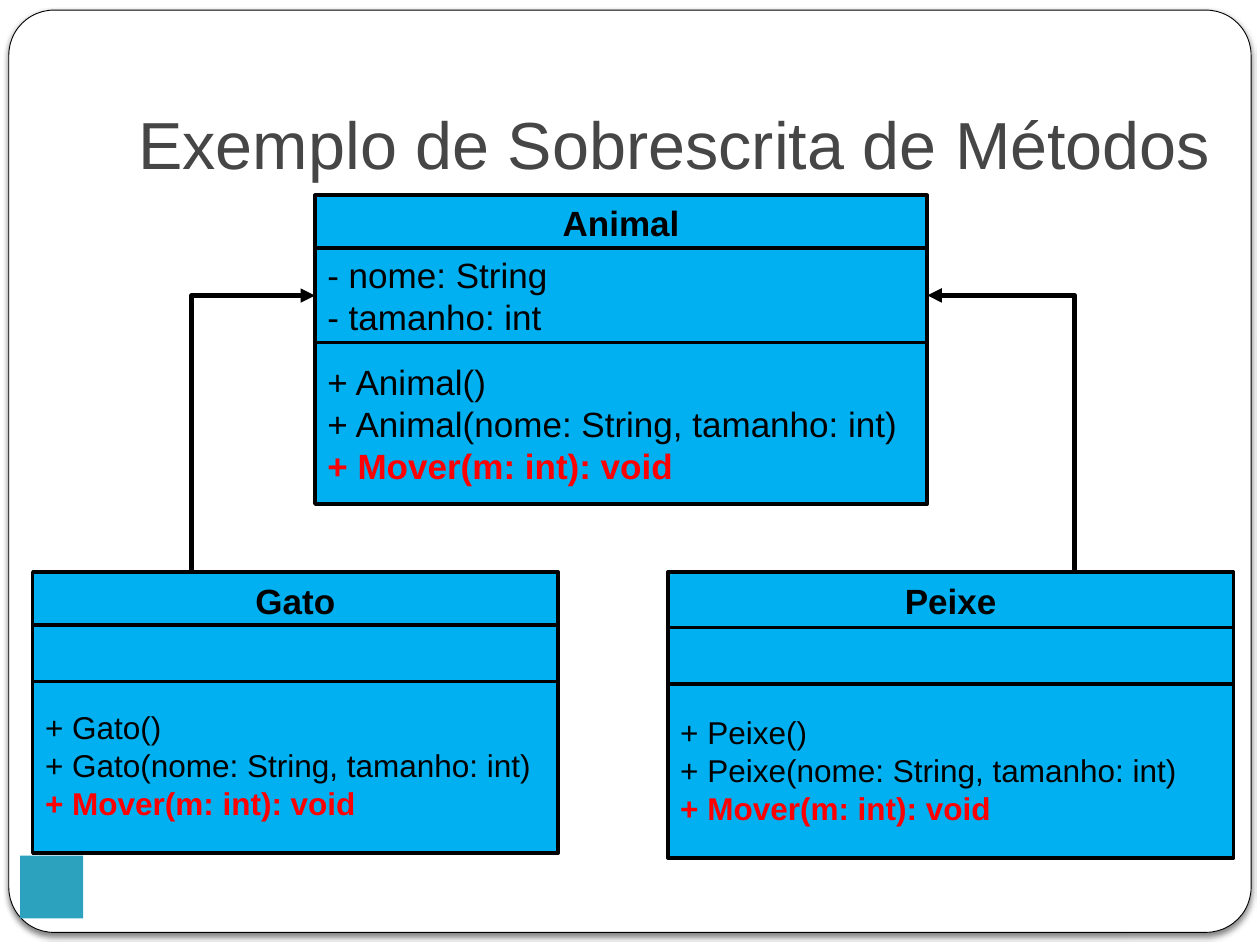
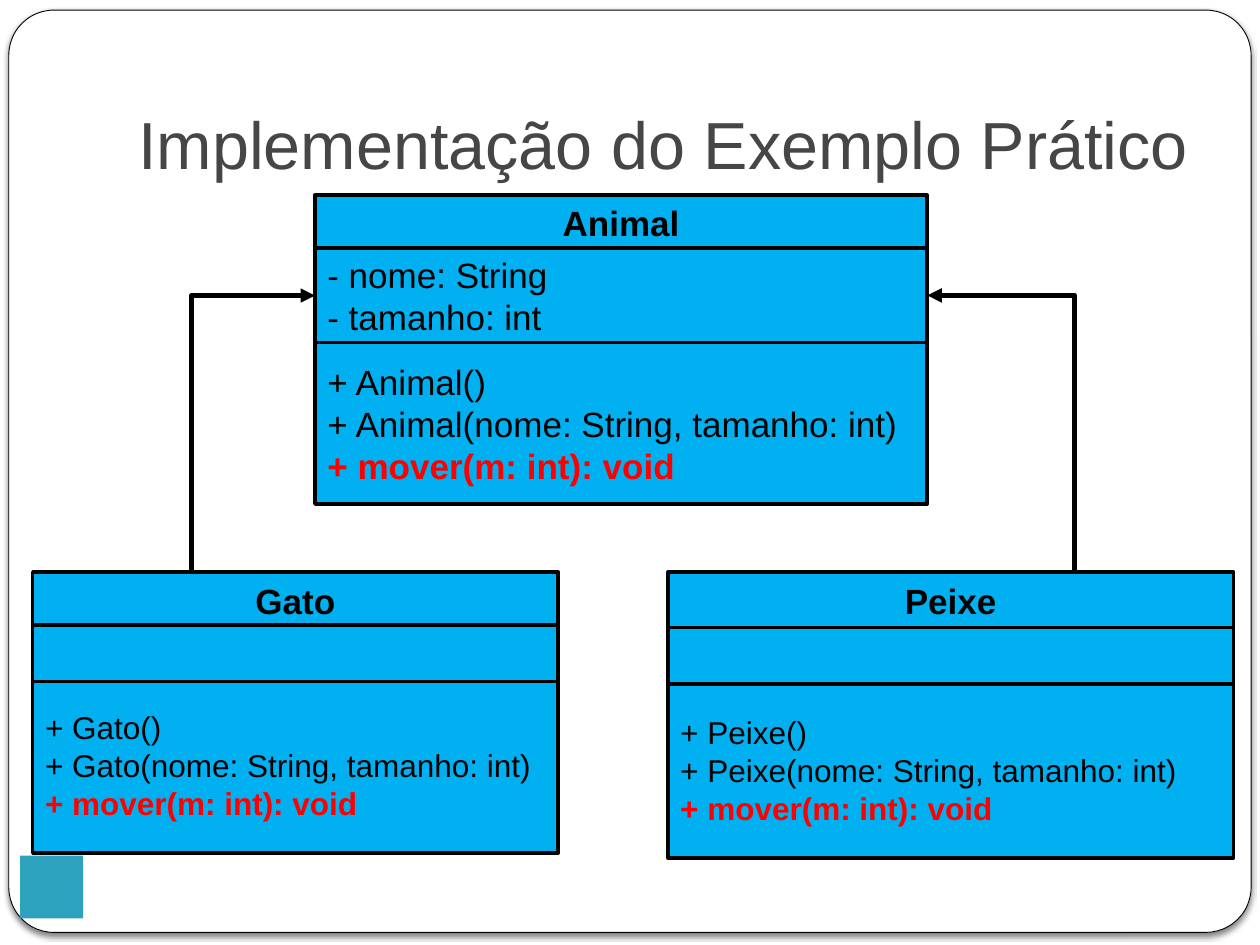
from collections import namedtuple

from lxml.etree import SubElement
from pptx import Presentation
from pptx.dml.color import RGBColor
from pptx.enum.shapes import MSO_CONNECTOR as Connector, MSO_SHAPE as Preset
from pptx.enum.text import MSO_ANCHOR as Anchor, PP_ALIGN as Align
from pptx.oxml.ns import qn
from pptx.util import Emu, Pt

PX = 9144  # one hundredth of an inch
FONT = "Arial"
WHITE = RGBColor(0xFF, 0xFF, 0xFF)
BLACK = RGBColor(0x00, 0x00, 0x00)
GREY = RGBColor(0x46, 0x46, 0x46)
RED = RGBColor(0xFF, 0x00, 0x00)
CLASS_BLUE = RGBColor(0x00, 0xB0, 0xF0)
TEAL = RGBColor(0x2D, 0xA2, 0xBF)

LEFT_SIDE, RIGHT_SIDE = 1, 3

Box = namedtuple("Box", "left top width height")
# Each compartment is (offset from the box top, height)
Compartments = namedtuple("Compartments", "name attributes methods")

CARD = Box(7, 8, 986, 732)
TITLE = Box(100, 30, 880, 125)
MARKER = Box(16, 679, 50, 50)
ANIMAL = Box(250, 155, 486, 245)
GATO = Box(26, 454, 417, 223)
PEIXE = Box(530, 454, 449, 227)
ANIMAL_PARTS = Compartments((0, 43), (42, 75), (117, 128))
GATO_PARTS = Compartments((0, 45), (42, 45), (83, 140))
PEIXE_PARTS = Compartments((0, 45), (44, 45), (87, 140))
GATO_ARROW_X, PEIXE_ARROW_X = 152, 853


def px(*lengths):
    return [Emu(length * PX) for length in lengths]


def add_block(shapes, box, fill, line_width=None, preset=Preset.RECTANGLE):
    shape = shapes.add_shape(preset, *px(*box))
    shape.shadow.inherit = False
    shape.fill.solid()
    shape.fill.fore_color.rgb = fill
    if line_width:
        shape.line.color.rgb = BLACK
        shape.line.width = Pt(line_width)
    else:
        shape.line.fill.background()
    return shape


def write_lines(shape, lines, size, color=BLACK, bold=False, align=Align.LEFT,
                anchor=Anchor.MIDDLE):
    frame = shape.text_frame
    frame.word_wrap = True
    frame.vertical_anchor = anchor
    for index, line in enumerate(lines):
        paragraph = frame.paragraphs[0] if index == 0 else frame.add_paragraph()
        paragraph.text = line
        paragraph.alignment = align
        font = paragraph.font
        font.name, font.size, font.bold = FONT, Pt(size), bold
        font.color.rgb = color
    return frame


def add_frame(slide, title):
    # Rounded card with a soft shadow
    card = add_block(slide.shapes, CARD, WHITE, 0.5, Preset.ROUNDED_RECTANGLE)
    card.adjustments[0] = 0.049
    effects = card._element.spPr.find(qn("a:effectLst"))
    shadow = SubElement(effects, qn("a:outerShdw"), blurRad=str(Pt(3)),
                        dist=str(Pt(2)), dir="5400000", rotWithShape="0")
    color = SubElement(shadow, qn("a:srgbClr"), val=str(BLACK))
    SubElement(color, qn("a:alpha"), val="50000")

    # Title
    title_box = slide.shapes.add_textbox(*px(*TITLE))
    frame = write_lines(title_box, [title], 38, GREY, anchor=Anchor.BOTTOM)
    frame.margin_bottom = Emu(10 * PX)


def add_class(slide, box, parts, name, attributes, methods, size):
    """Draw a UML class whose last method is the overridden one."""
    group = slide.shapes.add_group_shape()

    def compartment(part):
        offset, height = part
        part_box = Box(box.left, box.top + offset, box.width, height)
        return add_block(group.shapes, part_box, CLASS_BLUE, 2)

    write_lines(compartment(parts.name), [name], 20, bold=True, align=Align.CENTER)
    method_frame = write_lines(compartment(parts.methods), methods, size)
    overridden = method_frame.paragraphs[-1].font
    overridden.bold = True
    overridden.color.rgb = RED

    attribute_shape = compartment(parts.attributes)
    write_lines(attribute_shape, attributes, size)
    return attribute_shape


def add_inheritance(slide, start_x, start_y, parent, side):
    """Run an arrow up from a subclass, then across to a side of the parent."""
    connector = slide.shapes.add_connector(
        Connector.ELBOW, *px(start_x, start_y, start_x, start_y))
    connector.end_connect(parent, side)
    end_x = parent.left + (parent.width if side == RIGHT_SIDE else 0)
    end_y = parent.top + parent.height // 2
    start_x, start_y = px(start_x, start_y)

    # A single bend, turned a quarter so that it leaves upwards
    across, rise = abs(end_x - start_x), start_y - end_y
    connector.left = Emu((start_x + end_x - rise) // 2)
    connector.top = Emu((start_y + end_y - across) // 2)
    connector.width, connector.height = Emu(rise), Emu(across)
    properties = connector._element.spPr
    properties.find(qn("a:prstGeom")).set("prst", "bentConnector2")
    transform = properties.find(qn("a:xfrm"))
    transform.set("rot", "16200000")
    transform.set("flipH", "0")
    transform.set("flipV", "1" if side == RIGHT_SIDE else "0")

    # Line and arrowhead
    connector.line.color.rgb = BLACK
    connector.line.width = Pt(2.75)
    SubElement(properties.find(qn("a:ln")), qn("a:tailEnd"), type="triangle")
    SubElement(properties, qn("a:effectLst"))


def class_methods(name, move):
    return [f"+ {name}()", f"+ {name}(nome: String, tamanho: int)",
            f"+ {move}(m: int): void"]


def add_class_slide(presentation, title, move):
    slide = presentation.slides.add_slide(presentation.slide_layouts[6])
    add_frame(slide, title)

    # Parent class and its arrows
    parent = add_class(slide, ANIMAL, ANIMAL_PARTS, "Animal",
                       ["- nome: String", "- tamanho: int"],
                       class_methods("Animal", move), 20)
    add_inheritance(slide, GATO_ARROW_X, GATO.top, parent, LEFT_SIDE)
    add_inheritance(slide, PEIXE_ARROW_X, PEIXE.top, parent, RIGHT_SIDE)

    # Subclasses
    for name, box, parts in (("Gato", GATO, GATO_PARTS),
                             ("Peixe", PEIXE, PEIXE_PARTS)):
        add_class(slide, box, parts, name, [], class_methods(name, move), 18)

    # Corner marker
    add_block(slide.shapes, MARKER, TEAL)


def main():
    presentation = Presentation()
    presentation.slide_width, presentation.slide_height = px(1000, 750)
    add_class_slide(presentation, "Exemplo de Sobrescrita de Métodos", "Mover")
    add_class_slide(presentation, "Implementação do Exemplo Prático", "mover")
    presentation.save("out.pptx")


if __name__ == "__main__":
    main()
